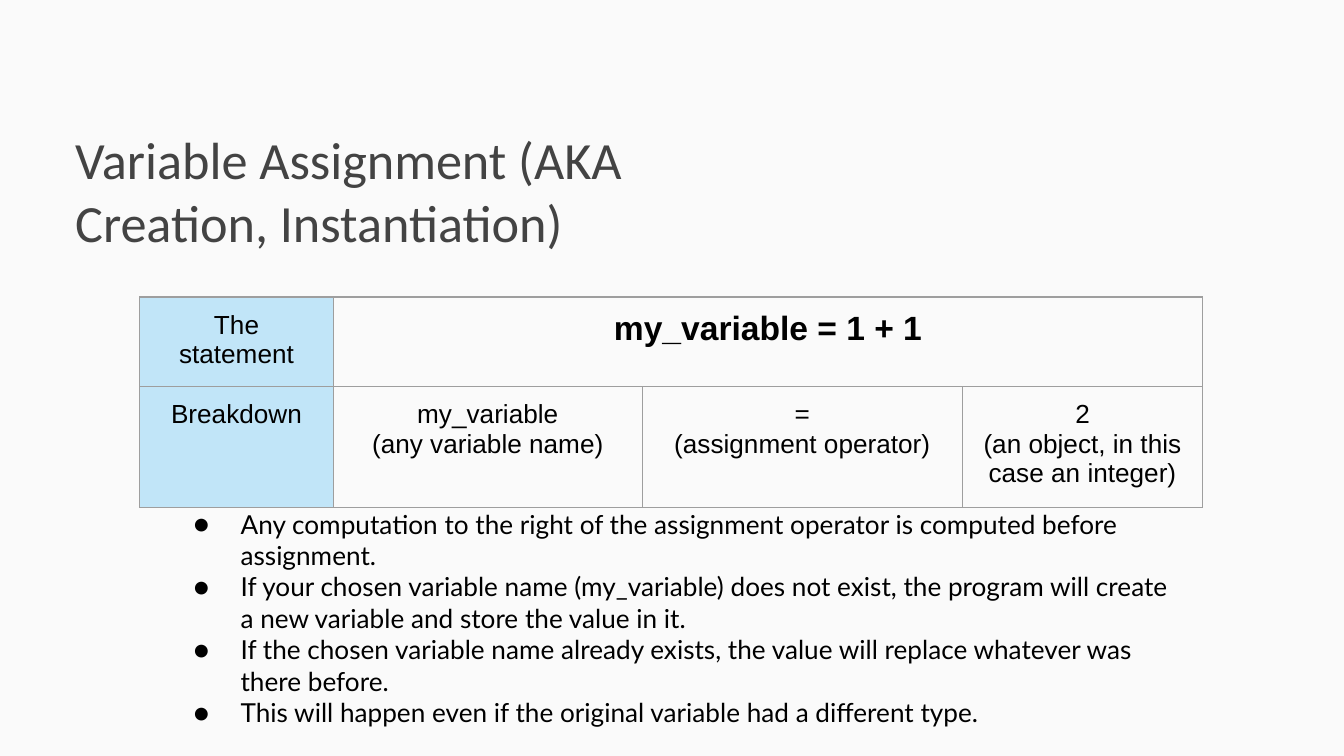
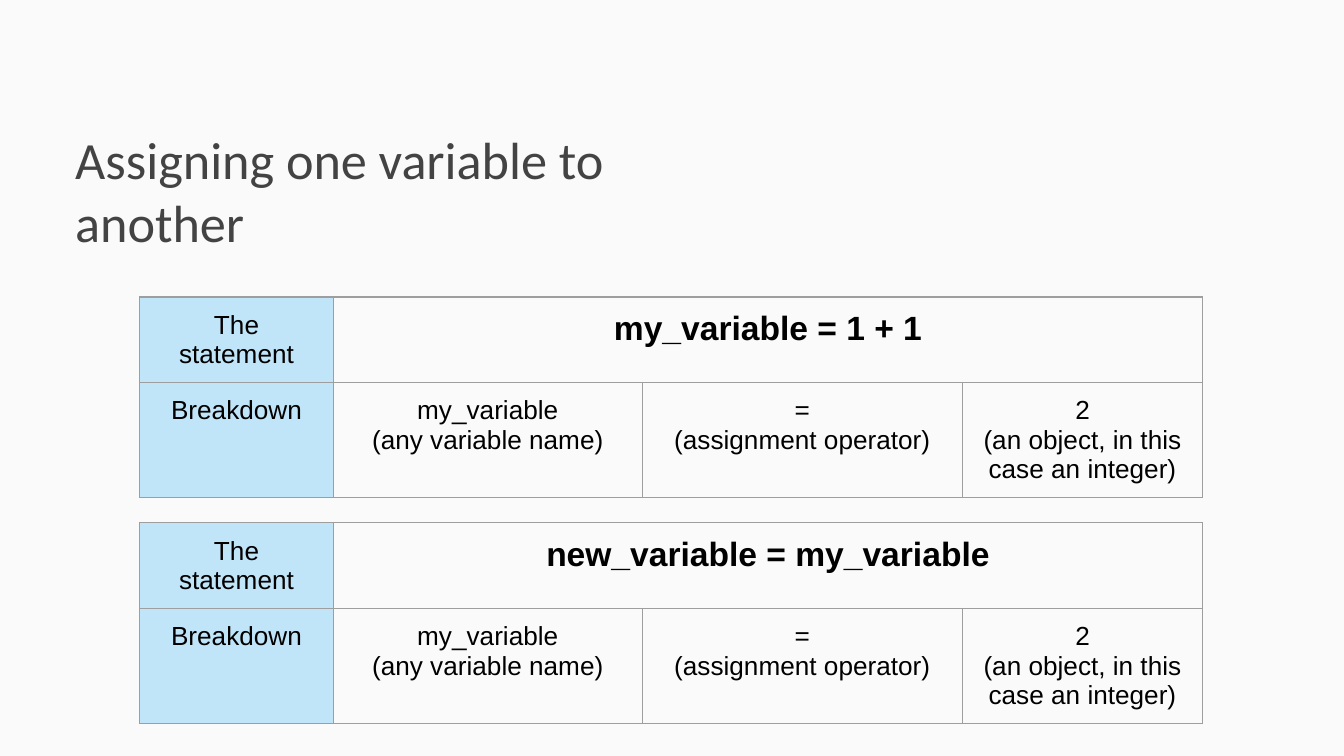
from lxml import etree
from pptx import Presentation
from pptx.dml.color import RGBColor
from pptx.enum import text
from pptx.oxml import ns
from pptx.util import Inches, Pt

PAPER = RGBColor(0xFA, 0xFA, 0xFA)
TITLE_GREY = RGBColor(0x43, 0x43, 0x43)
BLACK = RGBColor(0, 0, 0)
LABEL_BLUE = RGBColor(0xC1, 0xE5, 0xF8)
BORDER_GREY = RGBColor(0x9E, 0x9E, 0x9E)

INSET = Inches(0.1)
# The label column is just narrow enough to wrap "The statement"
COLUMN_WIDTHS = [Inches(width) for width in (1.44, 2.3, 2.38, 1.79)]
ROW_HEIGHT = Inches(0.42)
TABLE_LEFT, TABLE_TOP, TABLE_STEP = Inches(1.04), Inches(2.21), Inches(1.68)
TITLE_BOX = (Inches(0.46), Inches(0.85), Inches(5.11), Inches(0.42))
LIST_BOX = (Inches(1.19), Inches(3.68), Inches(7.71), Inches(1.85))

BREAKDOWN = [
    ["Breakdown"],
    ["my_variable", "(any variable name)"],
    ["=", "(assignment operator)"],
    ["2", "(an object, in this case an integer)"],
]
RULES = [
    "Any computation to the right of the assignment operator is computed before assignment.",
    "If your chosen variable name (my_variable) does not exist, the program will create "
    "a new variable and store the value in it.",
    "If the chosen variable name already exists, the value will replace whatever was there before.",
    "This will happen even if the original variable had a different type.",
]


def add_child(parent, tag, **attributes):
    return etree.SubElement(parent, ns.qn(tag), attributes)


def write(frame, lines, font, size, color, align, bold=False):
    """Write one paragraph per line, each as a single formatted run."""
    for index, line in enumerate(lines):
        para = frame.paragraphs[0] if index == 0 else frame.add_paragraph()
        para.alignment = align
        para.line_spacing = 1.0
        para.space_before = para.space_after = Pt(0)
        span = para.add_run()
        span.text = line
        span.font.name, span.font.size, span.font.bold = font, Pt(size), bold
        span.font.color.rgb = color


def place(holder, box, auto_size):
    """Move a placeholder to its box and give its text the shared insets."""
    holder.left, holder.top, holder.width, holder.height = box
    frame = holder.text_frame
    frame.word_wrap = True
    frame.auto_size = auto_size
    frame.vertical_anchor = text.MSO_ANCHOR.TOP
    frame.margin_left = frame.margin_right = INSET
    frame.margin_top = frame.margin_bottom = INSET
    return frame


def add_page(deck, layout, title):
    page = deck.slides.add_slide(deck.slide_layouts.get_by_name(layout))
    frame = place(page.shapes.title, TITLE_BOX, text.MSO_AUTO_SIZE.NONE)
    write(frame, [title], "Calibri", 28, TITLE_GREY, text.PP_ALIGN.LEFT)
    return page


def add_borders(cell):
    properties = cell._tc.get_or_add_tcPr()
    for index, side in enumerate(("a:lnL", "a:lnR", "a:lnT", "a:lnB")):
        line = add_child(properties, side, w=str(Pt(0.75)))
        add_child(add_child(line, "a:solidFill"), "a:srgbClr", val=str(BORDER_GREY))
        properties.insert(index, line)  # borders come before the fill


def add_statement_table(page, statement, left, top):
    """Add a statement above its breakdown, with blue labels on the left."""
    table = page.shapes.add_table(
        2, len(COLUMN_WIDTHS), left, top, sum(COLUMN_WIDTHS), 2 * ROW_HEIGHT).table
    table.first_row = table.horz_banding = False
    for column, width in zip(table.columns, COLUMN_WIDTHS):
        column.width = width
    table.cell(0, 1).merge(table.cell(0, 3))

    contents = [[["The statement"], [statement], [], []], BREAKDOWN]
    for row, row_lines in enumerate(contents):
        for column, lines in enumerate(row_lines):
            cell = table.cell(row, column)
            cell.margin_left = cell.margin_right = INSET
            cell.margin_top = cell.margin_bottom = INSET
            if column == 0:
                cell.fill.solid()
                cell.fill.fore_color.rgb = LABEL_BLUE
            else:
                cell.fill.background()
            add_borders(cell)
            is_statement = row == 0 and column == 1
            write(cell.text_frame, lines, "Arial", 18 if is_statement else 14,
                  BLACK, text.PP_ALIGN.CENTER, bold=is_statement)


def add_bullets(page, lines, box):
    frame = place(page.placeholders[1], box, text.MSO_AUTO_SIZE.SHAPE_TO_FIT_TEXT)
    write(frame, lines, "Lato", 14, BLACK, text.PP_ALIGN.LEFT)
    for para in frame.paragraphs:
        properties = para._p.get_or_add_pPr()
        properties.set("marL", str(Inches(0.5)))
        properties.set("indent", str(Inches(-0.35)))
        add_child(add_child(properties, "a:buClr"), "a:srgbClr", val=str(BLACK))
        add_child(properties, "a:buFont", typeface="Lato")
        add_child(properties, "a:buChar", char="●")


deck = Presentation()
deck.slide_width = Inches(10)
deck.slide_height = deck.slide_width * 9 // 16
backdrop = deck.slide_master.background.fill
backdrop.solid()
backdrop.fore_color.rgb = PAPER

# Slide 1: one statement and the rules of assignment
page = add_page(deck, "Title and Content", "Variable Assignment (AKA Creation, Instantiation)")
add_statement_table(page, "my_variable = 1 + 1", TABLE_LEFT, TABLE_TOP)
add_bullets(page, RULES, LIST_BOX)

# Slide 2: two statements, one below the other
page = add_page(deck, "Title Only", "Assigning one variable to another")
for index, statement in enumerate(("my_variable = 1 + 1", "new_variable = my_variable")):
    add_statement_table(page, statement, TABLE_LEFT, TABLE_TOP + index * TABLE_STEP)

deck.save("out.pptx")
